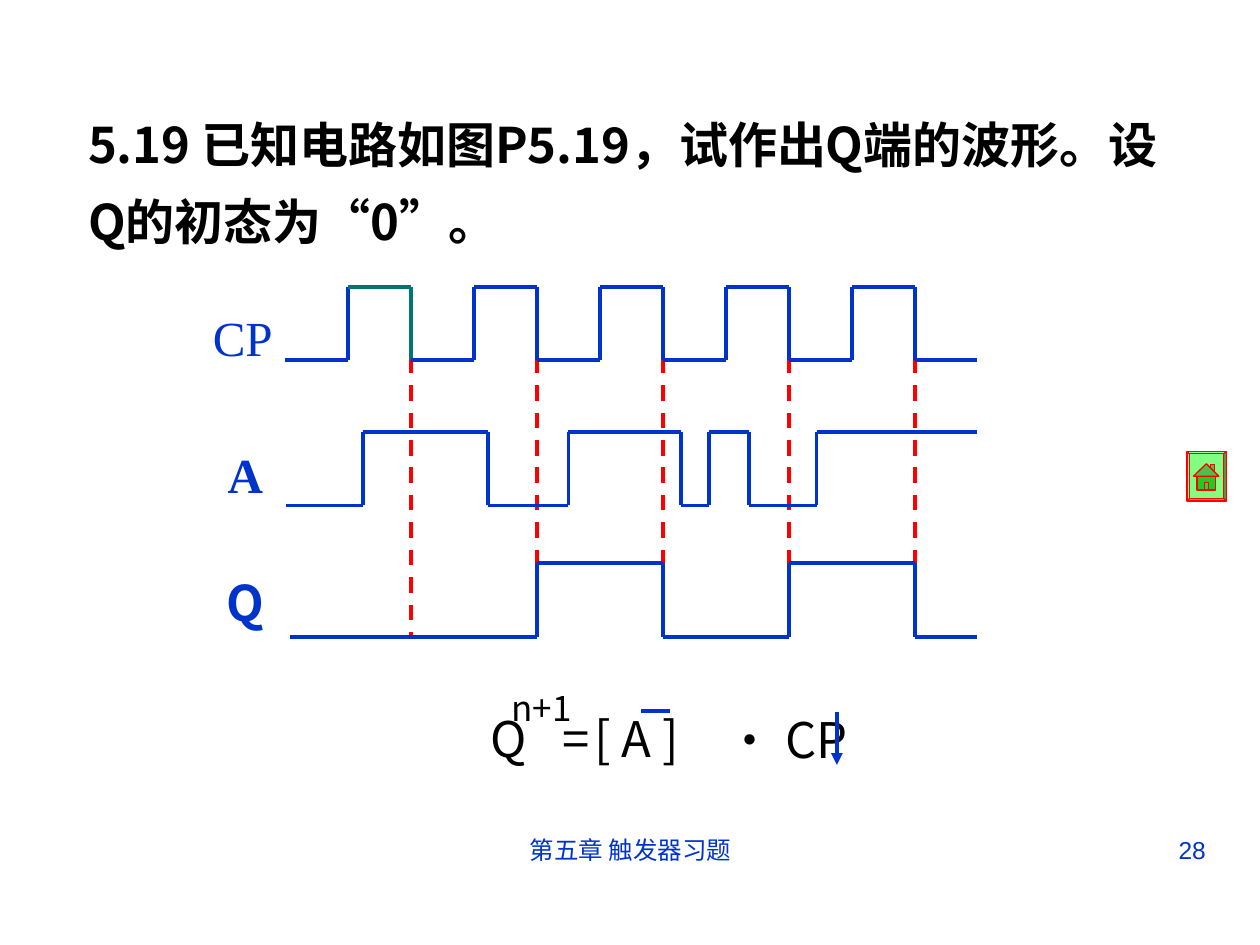
from dataclasses import dataclass

from lxml import etree
from pptx import Presentation
from pptx.dml.color import RGBColor
from pptx.enum import dml, shapes, text
from pptx.oxml.ns import qn
from pptx.util import Cm, Pt


@dataclass(frozen=True)
class Theme:
    ink: str = "000000"
    blue: str = "0033CC"
    teal: str = "007572"
    red: str = "FF0000"
    button: str = "80FF80"
    roof: str = "4DBF4D"
    house: str = "1FCC1F"
    cjk: str = "Noto Sans CJK SC"
    serif: str = "Times New Roman"
    sans: str = "Arial"
    body: int = 28
    power: int = 20
    footer: int = 14
    stroke: float = 2.25
    outline: float = 0.75


T = Theme()
prs = Presentation()
prs.slide_width, prs.slide_height = Cm(25.4), Cm(19.05)
s = prs.slides.add_slide(prs.slide_layouts[5])


def write(sp, box, words, font, size, color, bold=False, spacing=1.0,
          align=text.PP_ALIGN.LEFT):
    """Place a text shape and fill it with one formatted run."""
    sp.left, sp.top, sp.width, sp.height = (Cm(v) for v in box)
    tf = sp.text_frame
    tf.word_wrap = True
    tf.auto_size = text.MSO_AUTO_SIZE.NONE
    tf.vertical_anchor = text.MSO_ANCHOR.TOP
    p = tf.paragraphs[0]
    p.alignment, p.line_spacing = align, spacing
    r = p.add_run()
    r.text = words
    r.font.name, r.font.size, r.font.bold = font, Pt(size), bold
    r.font.color.rgb = RGBColor.from_string(color)
    east = etree.SubElement(r._r.get_or_add_rPr(), qn("a:ea"))
    east.set("typeface", T.cjk)


def line(x1, y1, x2, y2, color=T.blue):
    c = s.shapes.add_connector(shapes.MSO_CONNECTOR.STRAIGHT,
                               Cm(x1), Cm(y1), Cm(x2), Cm(y2))
    c.line.color.rgb = RGBColor.from_string(color)
    c.line.width = Pt(T.stroke)
    etree.SubElement(c._element.spPr, qn("a:effectLst"))
    return c


# Question
write(s.shapes.title, (1.52, 1.83, 22.28, 3.35),
      "5.19 已知电路如图P5.19，试作出Q端的波形。设Q的初态为“0”。",
      T.cjk, T.body, T.ink, bold=True, spacing=1.3)

# Falling clock edges, the moments at which Q may change
start, half = 5.74, 1.27
clock = [start + half * k for k in range(1, 11)]
falls = clock[1::2]
for x in falls:
    dash = line(x, 7.21, x, 12.83, T.red)
    dash.line.dash_style = dml.MSO_LINE.DASH

# Waveforms: start, high level, low level, toggle positions
waves = [
    (start, 5.79, 7.26, clock),
    (5.77, 8.71, 10.19, [7.32, 9.83, 11.46, 13.72, 14.3, 15.09, 16.46]),
    (5.84, 11.35, 12.85, falls[1:]),
]
end = 19.69
for x, high, low, toggles in waves:
    y, other = low, high
    for i, toggle in enumerate(toggles):
        first_pulse = toggles is clock and i == 1
        color = T.teal if first_pulse else T.blue
        line(x, y, toggle, y, color)
        line(toggle, y, toggle, other, color)
        x, y, other = toggle, other, y
    line(x, y, end, y)

# Signal names
for words, box, font, bold in [
    ("CP", (4.04, 5.72, 1.9, 1.8), T.serif, False),
    ("A", (4.34, 8.48, 1.32, 1.8), T.serif, True),
    ("Q", (4.32, 11.07, 1.07, 1.8), T.cjk, True),
]:
    write(s.shapes.add_textbox(0, 0, 0, 0), box, words, font, T.body, T.blue,
          bold=bold, spacing=1.3)

# Characteristic equation
for words, x, y, w, size in [
    ("Q", 9.63, 14.15, 1.32, T.body),
    ("n+1", 10.06, 13.72, 1.96, T.power),
    ("=", 11.1, 14.15, 1.27, T.body),
    ("[ A ]", 11.73, 14.15, 3.38, T.body),
    ("· CP", 14.38, 14.17, 2.97, T.body),
]:
    write(s.shapes.add_textbox(0, 0, 0, 0), (x, y, w, 1.45), words,
          T.cjk, size, T.ink)
line(12.93, 14.33, 13.51, 14.33)
arrow = line(16.87, 14.35, 16.87, 15.42)
etree.SubElement(arrow.line._get_or_add_ln(), qn("a:tailEnd")).set("type", "triangle")

# Home button: bevelled frame, then chimney, roof, walls and door
frame = s.shapes.add_shape(shapes.MSO_SHAPE.BEVEL,
                           Cm(23.93), Cm(9.1), Cm(0.79), Cm(1))
frame.adjustments[0] = 0.06
parts = [(frame, T.button)]
for points, color in [
    ([(24.41, 9.37), (24.49, 9.37), (24.49, 9.6), (24.41, 9.6)], T.roof),
    ([(24.32, 9.35), (24.57, 9.6), (24.06, 9.6)], T.roof),
    ([(24.13, 9.6), (24.51, 9.6), (24.51, 9.88), (24.13, 9.88)], T.house),
    ([(24.28, 9.73), (24.36, 9.73), (24.36, 9.88), (24.28, 9.88)], T.roof),
]:
    corners = [(Cm(x), Cm(y)) for x, y in points]
    outline = s.shapes.build_freeform(*corners[0])
    outline.add_line_segments(corners[1:], close=True)
    parts.append((outline.convert_to_shape(), color))
for sp, color in parts:
    sp.shadow.inherit = False
    sp.fill.solid()
    sp.fill.fore_color.rgb = RGBColor.from_string(color)
    sp.line.color.rgb = RGBColor.from_string(T.red)
    sp.line.width = Pt(T.outline)

# Footer
for words, x, w, align in [
    ("第五章 触发器习题", 8.69, 8.05, text.PP_ALIGN.CENTER),
    ("28", 18.21, 6.35, text.PP_ALIGN.RIGHT),
]:
    write(s.shapes.add_textbox(0, 0, 0, 0), (x, 16.71, w, 1.32), words,
          T.sans, T.footer, T.blue, align=align)

prs.save("out.pptx")
